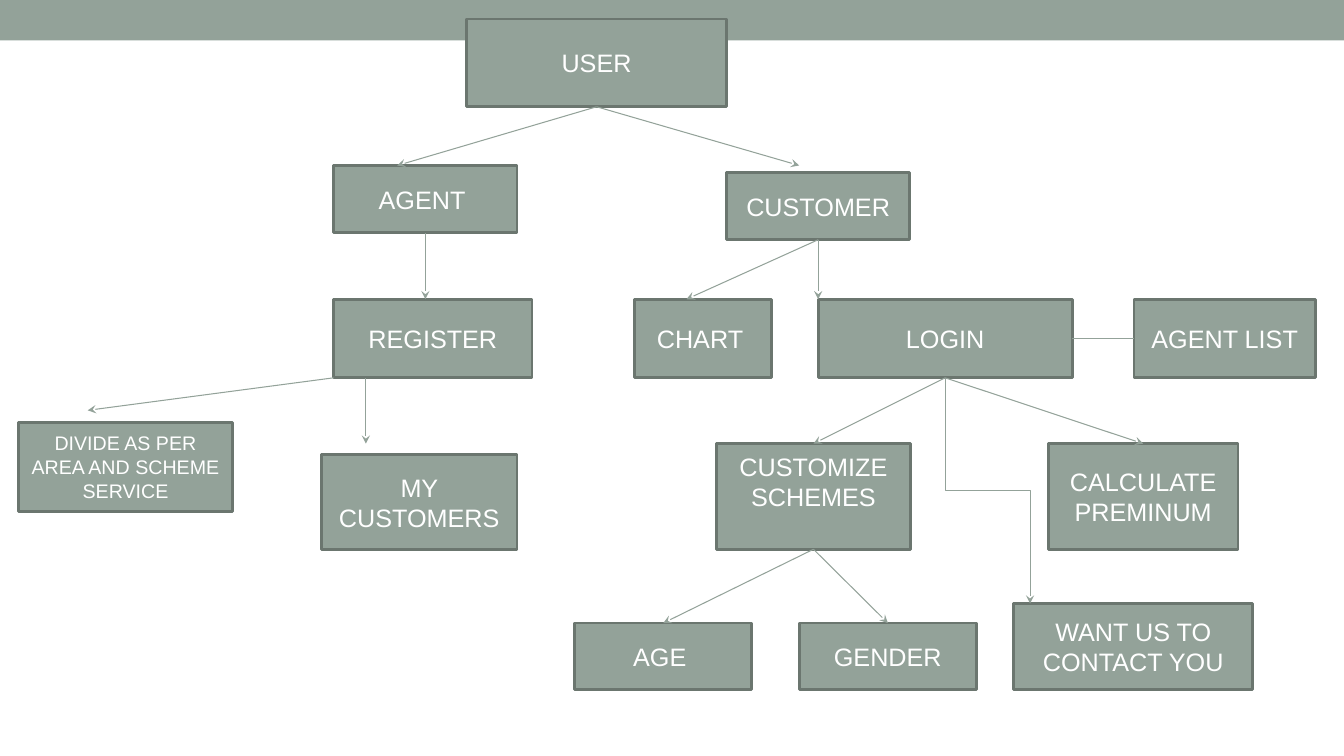
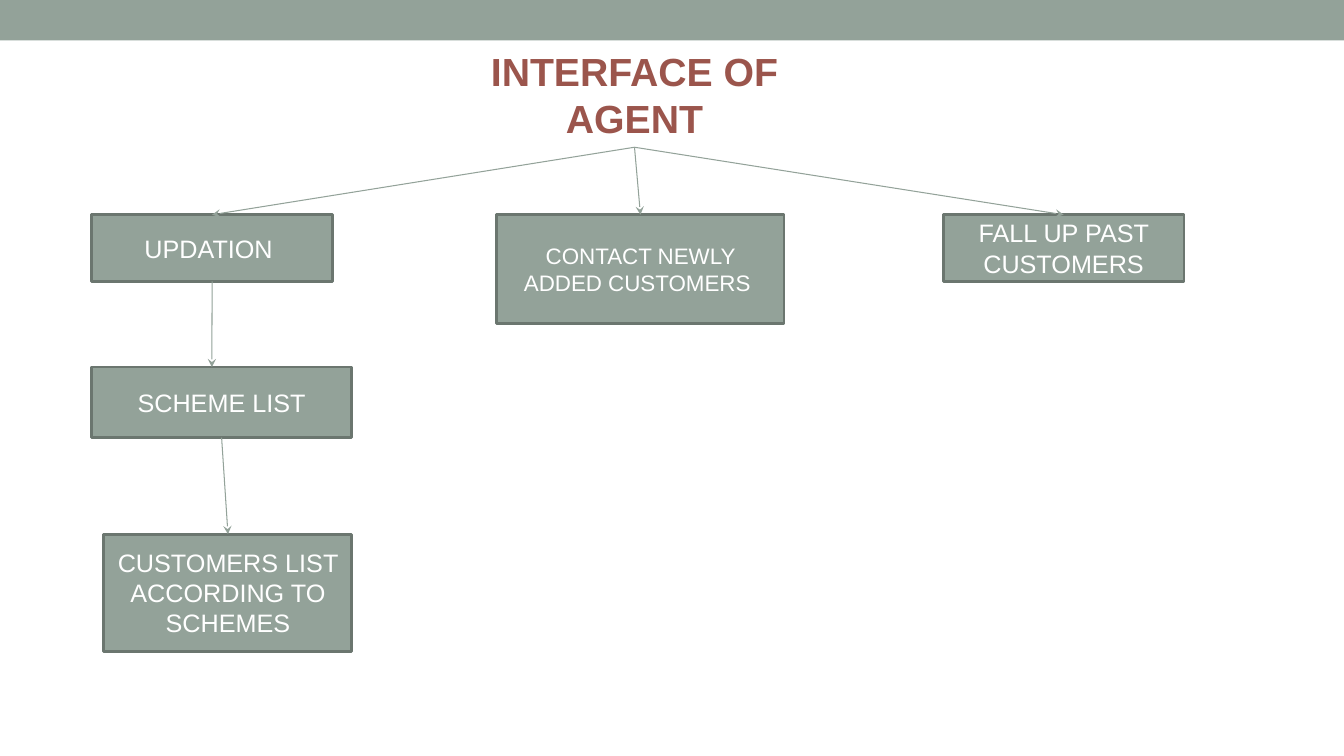
"""Build two slides of box-and-arrow charts for an agent system."""
import dataclasses

import lxml.etree
import pptx
import pptx.dml.color
import pptx.enum.shapes
import pptx.enum.text
import pptx.oxml.ns
import pptx.util

Cm = pptx.util.Cm
Pt = pptx.util.Pt
qn = pptx.oxml.ns.qn
RGB = pptx.dml.color.RGBColor.from_string
RECT = pptx.enum.shapes.MSO_SHAPE.RECTANGLE
LINK = pptx.enum.shapes.MSO_CONNECTOR
ALIGN = pptx.enum.text.PP_ALIGN
ANCHOR = pptx.enum.text.MSO_ANCHOR
TOP, LEFT, FOOT, RIGHT = range(4)


@dataclasses.dataclass(frozen=True)
class Theme:
    """Hold colours, type sizes and line widths."""
    font: str = "Arial"
    sage: str = "93A299"
    edge: str = "6B766F"
    white: str = "FFFFFF"
    rust: str = "9B554C"
    head: int = 28
    body: int = 18
    mid: int = 16
    small: int = 14
    rim: float = 2.08
    thin: float = 0.75


THEME = Theme()
ROW = dict(top=7.54, high=1.98)
PAIR = dict(top=11.18, high=2.66)
LEAF = dict(top=15.7, wide=4.47, high=1.68)
SIDE = dict(top=5.41, wide=6.07, high=1.68)
ROLE = dict(wide=4.62, high=1.7)

USER_BOXES = [
    dict(text="USER", left=11.76, top=0.48, wide=6.55, high=2.21),
    dict(text="AGENT ", left=8.41, top=4.17, **ROLE),
    dict(text="CUSTOMER", left=18.31, top=4.34, **ROLE),
    dict(text="REGISTER", left=8.41, wide=5, **ROW),
    dict(text="CHART ", left=16, wide=3.45, **ROW),
    dict(text="LOGIN", left=20.62, wide=6.4, **ROW),
    dict(text="AGENT LIST", left=28.58, wide=4.57, **ROW),
    dict(text="CUSTOMIZE SCHEMES", left=18.06, wide=4.88, lift=0.76, **PAIR),
    dict(text="CALCULATE PREMINUM", left=26.42, wide=4.78, **PAIR),
    dict(text="AGE ", left=14.48, **LEAF),
    dict(text="GENDER", left=20.14, **LEAF),
    dict(text="WANT US TO CONTACT YOU", left=25.55, top=15.21, wide=6.02, high=2.16),
    dict(text="DIVIDE AS PER AREA AND SCHEME SERVICE", left=0.46, top=10.64,
         wide=5.41, high=2.24, size=THEME.small),
    dict(text="MY CUSTOMERS", left=8.1, top=11.46, wide=4.93, high=2.39),
]
USER_LINKS = [
    ("USER", (10.01, 4.17)),
    ("USER", (20.14, 4.17)),
    ("AGENT", (10.72, 7.54)),
    ("CUSTOMER", (17.3, 7.54)),
    ("CUSTOMER", (20.62, 7.54)),
    ("LOGIN", "CUSTOMIZE SCHEMES"),
    ("LOGIN", "CALCULATE PREMINUM"),
    ("CUSTOMIZE SCHEMES", "AGE"),
    ("CUSTOMIZE SCHEMES", "GENDER"),
    ((8.41, 9.52), (2.21, 10.34)),
    ((9.22, 9.52), (9.22, 11.18)),
]
AGENT_BOXES = [
    dict(text="UPDATION ", left=2.31, **SIDE),
    dict(text="CONTACT NEWLY ADDED CUSTOMERS ", left=12.52, top=5.41,
         wide=7.24, high=2.74, size=THEME.mid),
    dict(text="FALL UP PAST CUSTOMERS", left=23.77, **SIDE),
    dict(text="SCHEME LIST", left=2.31, top=9.25, wide=6.55, high=1.78),
    dict(text="CUSTOMERS LIST ACCORDING TO SCHEMES", left=2.62, top=13.46,
         wide=6.25, high=2.95),
]
AGENT_LINKS = [
    ("INTERFACE OF AGENT", "UPDATION"),
    ("INTERFACE OF AGENT", "CONTACT NEWLY ADDED CUSTOMERS"),
    ("INTERFACE OF AGENT", "FALL UP PAST CUSTOMERS"),
    ("UPDATION", (5.34, 9.25)),
    ("SCHEME LIST", "CUSTOMERS LIST ACCORDING TO SCHEMES"),
]


def write(shape, text, size, tint, bold=False):
    """Put one centred run of text in a shape."""
    frame = shape.text_frame
    frame.word_wrap = True
    para = frame.paragraphs[0]
    para.alignment = ALIGN.CENTER
    run = para.add_run()
    run.text = text
    run.font.name = THEME.font
    run.font.size = Pt(size)
    run.font.bold = bold
    run.font.color.rgb = RGB(tint)


def add_rect(slide, left, top, wide, high):
    """Add a plain sage rectangle."""
    rect = slide.shapes.add_shape(RECT, Cm(left), Cm(top), Cm(wide), Cm(high))
    rect.shadow.inherit = False
    rect.fill.solid()
    rect.fill.fore_color.rgb = RGB(THEME.sage)
    rect.line.fill.background()
    return rect


def add_box(slide, text, left, top, wide, high, size=THEME.body, lift=0):
    """Add a rimmed box whose text may be lifted."""
    box = add_rect(slide, left, top, wide, high)
    box.line.color.rgb = RGB(THEME.edge)
    box.line.width = Pt(THEME.rim)
    box.text_frame.vertical_anchor = ANCHOR.MIDDLE
    box.text_frame.margin_bottom += Cm(lift)
    write(box, text, size, THEME.white)
    return box


def add_title(slide, text, left, top, wide, high):
    """Add the bold slide title."""
    title = slide.shapes.add_textbox(Cm(left), Cm(top), Cm(wide), Cm(high))
    write(title, text, THEME.head, THEME.rust, bold=True)
    return title


def style(line, arrow=True):
    """Colour a connector, drop its shadow and add its arrowhead."""
    line.line.color.rgb = RGB(THEME.sage)
    line.line.width = Pt(THEME.thin)
    if arrow:
        stroke = line.line._get_or_add_ln()
        lxml.etree.SubElement(stroke, qn("a:tailEnd"), type="stealth")
    lxml.etree.SubElement(line.element.spPr, qn("a:effectLst"))


def add_link(slide, nodes, start, end, sites=(FOOT, TOP), arrow=True):
    """Join two ends, each a box name or a point in centimetres."""
    line = slide.shapes.add_connector(LINK.STRAIGHT, 0, 0, 0, 0)
    if isinstance(start, str):
        line.begin_connect(nodes[start], sites[0])
    else:
        line.begin_x, line.begin_y = map(Cm, start)
    if isinstance(end, str):
        line.end_connect(nodes[end], sites[1])
    else:
        line.end_x, line.end_y = map(Cm, end)
    style(line, arrow)


def add_bend(slide, start, end):
    """Add an elbow arrow that runs down, across and down."""
    mid_x, mid_y = ((a + b) / 2 for a, b in zip(start, end))
    half_x, half_y = ((b - a) / 2 for a, b in zip(start, end))
    line = slide.shapes.add_connector(
        LINK.ELBOW, Cm(mid_x + half_y), Cm(mid_y - half_x),
        Cm(mid_x - half_y), Cm(mid_y + half_x))
    line.element.spPr.find(qn("a:xfrm")).set("rot", str(270 * 60000))
    style(line)


def add_tree(slide, boxes, links, nodes):
    """Draw the boxes, then the links among them."""
    for box in boxes:
        nodes[box["text"].strip()] = add_box(slide, **box)
    for start, end in links:
        add_link(slide, nodes, start, end)


def set_band(deck, slide):
    """Place the top band on the slide master."""
    band = add_rect(slide, 0, 0, deck.slide_width.cm, 1.02)
    band.element.nvSpPr.cNvPr.set("id", "20")
    deck.slide_master.shapes.element.insert(2, band.element)


def user_slide(slide):
    """Draw the chart of all users."""
    nodes = {}
    add_tree(slide, USER_BOXES, USER_LINKS, nodes)
    add_link(slide, nodes, "LOGIN", "AGENT LIST", (RIGHT, LEFT), arrow=False)
    add_bend(slide, (23.82, 9.52), (25.96, 15.21))


def agent_slide(slide):
    """Draw the chart of the agent's screens."""
    text = "INTERFACE OF AGENT"
    nodes = {text: add_title(slide, text, 11.76, 1.07, 8.46, 2.64)}
    add_tree(slide, AGENT_BOXES, AGENT_LINKS, nodes)


def main():
    """Build and save the deck."""
    deck = pptx.Presentation()
    deck.slide_width, deck.slide_height = Cm(33.87), Cm(19.05)
    blank = deck.slide_layouts[6]
    first = deck.slides.add_slide(blank)
    set_band(deck, first)
    user_slide(first)
    agent_slide(deck.slides.add_slide(blank))
    deck.save("out.pptx")


if __name__ == "__main__":
    main()
